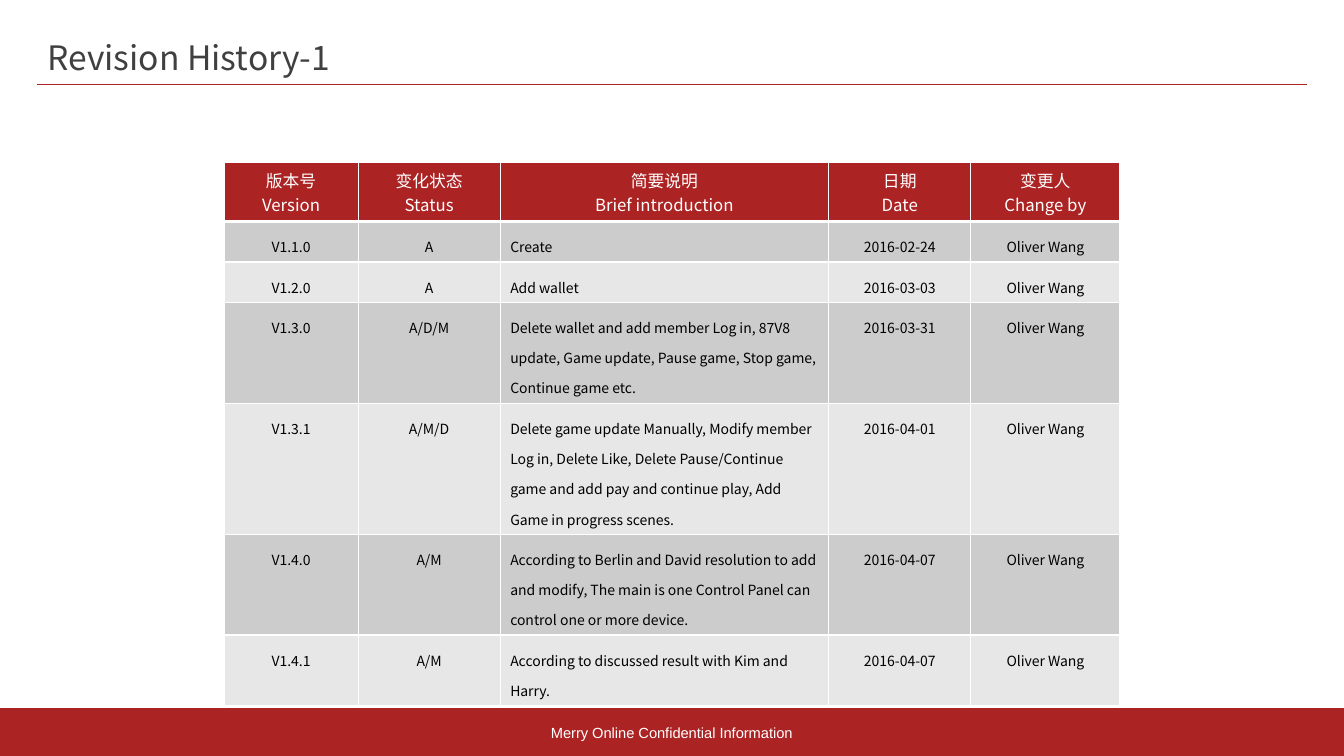
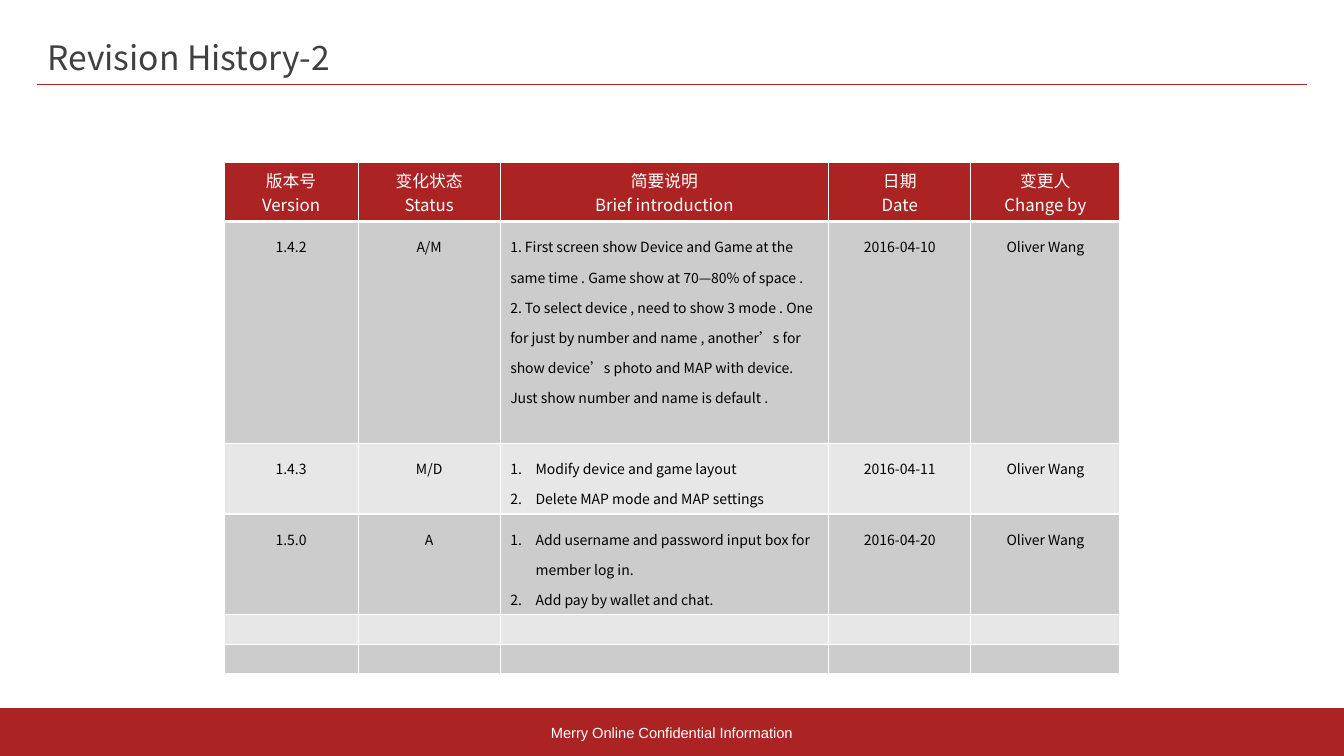
from dataclasses import dataclass

from lxml.etree import SubElement
from pptx import Presentation
from pptx.dml.color import RGBColor
from pptx.enum.shapes import MSO_CONNECTOR, MSO_SHAPE
from pptx.enum.text import MSO_ANCHOR, MSO_AUTO_SIZE, PP_ALIGN
from pptx.oxml import parse_xml
from pptx.oxml.ns import nsdecls, qn
from pptx.util import Cm, Pt


@dataclass(frozen=True)
class Theme:
    red: str = "AC2324"
    white: str = "FFFFFF"
    title_grey: str = "404040"
    black: str = "000000"
    bands: tuple = ("CCCCCC", "E7E7E7")
    font: str = "Noto Sans CJK SC"
    footer_font: str = "Arial"
    title_size: float = 24
    header_size: float = 12
    body_size: float = 10
    footer_size: float = 10.5
    line_width: float = 1
    header_line_width: float = 3


@dataclass(frozen=True)
class Box:
    left: float
    top: float
    width: float
    height: float

    def lengths(self):
        return Cm(self.left), Cm(self.top), Cm(self.width), Cm(self.height)


@dataclass(frozen=True)
class Revision:
    version: str = ""
    status: str = ""
    brief: tuple = ()
    date: str = ""
    author: str = ""
    numbered: bool = False
    height: float = 0.74


THEME = Theme()
SLIDE_WIDTH, SLIDE_HEIGHT = 33.87, 19.05
COLUMN_WIDTHS = (3.38, 3.58, 8.28, 3.58, 3.76)
BRIEF_COLUMN = 2
HEADER_HEIGHT = 1.17
TABLE_WIDTH = sum(COLUMN_WIDTHS)
TABLE_LEFT, TABLE_TOP = (SLIDE_WIDTH - TABLE_WIDTH) / 2, 4.1
MARGIN = 0.94
TITLE_BOX = Box(MARGIN, 0.76, 26.95, 1.5)
RULE_BOX = Box(MARGIN, 2.13, SLIDE_WIDTH - 2 * MARGIN, 0)
FOOTER_BOX = Box(0, 17.86, SLIDE_WIDTH, 1.19)

FOOTER_TEXT = "Merry Online Confidential Information"
AUTHOR = "Oliver Wang"
HEADERS = (
    ("版本号", "Version"),
    ("变化状态", "Status"),
    ("简要说明", "Brief introduction"),
    ("日期", "Date"),
    ("变更人", "Change by"),
)
HISTORY = {
    "Revision History-1": (
        Revision("V1.1.0", "A", ("Create",), "2016-02-24", AUTHOR),
        Revision("V1.2.0", "A", ("Add wallet",), "2016-03-03", AUTHOR),
        Revision("V1.3.0", "A/D/M", (
            "Delete wallet and add member Log in, 87V8 update, Game update, "
            "Pause game, Stop game, Continue game etc.",
        ), "2016-03-31", AUTHOR),
        Revision("V1.3.1", "A/M/D", (
            "Delete game update Manually, Modify member Log in, Delete Like, "
            "Delete Pause/Continue game and add pay and continue play, "
            "Add Game in progress scenes.",
        ), "2016-04-01", AUTHOR),
        Revision("V1.4.0", "A/M", (
            "According to Berlin and David resolution to add and modify, "
            "The main is one Control Panel can control one or more device.",
        ), "2016-04-07", AUTHOR),
        Revision("V1.4.1", "A/M", (
            "According to discussed result with Kim and Harry.",
        ), "2016-04-07", AUTHOR),
    ),
    "Revision History-2": (
        Revision("1.4.2", "A/M", (
            "1. First screen show Device and Game at the same time . "
            "Game show at 70—80% of space .",
            "2. To select device , need to show 3 mode . One for just by number "
            "and name , another’s for show device’s photo and MAP with device. "
            "Just show number and name is default .",
        ), "2016-04-10", AUTHOR, height=5.59),
        Revision("1.4.3", "M/D", (
            "Modify device and game layout",
            "Delete MAP mode and MAP settings",
        ), "2016-04-11", AUTHOR, numbered=True),
        Revision("1.5.0", "A", (
            "Add username and password input box for member log in.",
            "Add pay by wallet and chat.",
        ), "2016-04-20", AUTHOR, numbered=True),
        Revision(),
        Revision(),
    ),
}


def colour(value):
    return RGBColor.from_string(value)


def add_text(paragraph, text, size, text_colour, font=THEME.font):
    run = paragraph.add_run()
    run.text = text
    run.font.size = Pt(size)
    run.font.bold = False
    run.font.name = font
    run.font.color.rgb = colour(text_colour)
    # East Asian characters use the same typeface
    SubElement(run.font._element, qn("a:ea")).set("typeface", font)


def number_paragraph(paragraph):
    properties = paragraph._p.get_or_add_pPr()
    properties.set("marL", str(Cm(0.64)))
    properties.set("indent", str(-Cm(0.64)))
    SubElement(properties, qn("a:buAutoNum")).set("type", "arabicPeriod")


def set_borders(cell, bottom_width=THEME.line_width):
    properties = cell._tc.get_or_add_tcPr()
    for position, side in enumerate("LRTB"):
        width = bottom_width if side == "B" else THEME.line_width
        properties.insert(position, parse_xml(
            f'<a:ln{side} {nsdecls("a")} w="{Pt(width)}"><a:solidFill>'
            f'<a:srgbClr val="{THEME.white}"/></a:solidFill></a:ln{side}>'))


def fill_cell(cell, texts, fill, size, text_colour, alignment=PP_ALIGN.CENTER,
              line_spacing=None, numbered=False, bottom_width=THEME.line_width):
    cell.fill.solid()
    cell.fill.fore_color.rgb = colour(fill)
    set_borders(cell, bottom_width)
    frame = cell.text_frame
    if not texts:
        # An empty cell keeps the row as low as body text
        SubElement(frame.paragraphs[0]._p, qn("a:endParaRPr")).set("sz", str(int(size * 100)))
    for index, text in enumerate(texts):
        paragraph = frame.add_paragraph() if index else frame.paragraphs[0]
        paragraph.alignment = alignment
        if line_spacing:
            paragraph.line_spacing = line_spacing
        if numbered:
            number_paragraph(paragraph)
        add_text(paragraph, text, size, text_colour)


def add_rule(slide, box):
    left, top, width, _ = box.lengths()
    rule = slide.shapes.add_connector(MSO_CONNECTOR.STRAIGHT, left, top, left + width, top)
    rule.line.color.rgb = colour(THEME.red)
    rule.line.width = Pt(THEME.line_width)
    SubElement(rule._element.spPr, qn("a:effectLst"))
    return rule


def add_footer(slide, box):
    footer = slide.shapes.add_shape(MSO_SHAPE.RECTANGLE, *box.lengths())
    footer.shadow.inherit = False
    footer.fill.solid()
    footer.fill.fore_color.rgb = colour(THEME.red)
    footer.line.color.rgb = colour(THEME.red)
    footer.line.width = Pt(THEME.line_width)
    footer.text_frame.vertical_anchor = MSO_ANCHOR.MIDDLE
    paragraph = footer.text_frame.paragraphs[0]
    paragraph.alignment = PP_ALIGN.CENTER
    add_text(paragraph, FOOTER_TEXT, THEME.footer_size, THEME.white, THEME.footer_font)
    return footer


def share_on_layout(layout, shapes):
    for number, shape in enumerate(shapes, start=101):
        shape.element.xpath("./*/p:cNvPr")[0].set("id", str(number))
        layout.shapes.element.append(shape.element)


def set_title(slide, text, box):
    title = slide.shapes.title
    title.left, title.top, title.width, title.height = box.lengths()
    frame = title.text_frame
    frame.word_wrap = True
    frame.auto_size = MSO_AUTO_SIZE.NONE
    frame.vertical_anchor = MSO_ANCHOR.MIDDLE
    paragraph = frame.paragraphs[0]
    paragraph.alignment = PP_ALIGN.LEFT
    paragraph.line_spacing = 0.9
    add_text(paragraph, text, THEME.title_size, THEME.title_grey)


def add_history_table(slide, revisions, box):
    table = slide.shapes.add_table(
        len(revisions) + 1, len(COLUMN_WIDTHS), *box.lengths()).table
    table.horz_banding = False
    for column, width in zip(table.columns, COLUMN_WIDTHS):
        column.width = Cm(width * box.width / TABLE_WIDTH)

    # Header row
    table.rows[0].height = Cm(HEADER_HEIGHT)
    for column, texts in enumerate(HEADERS):
        fill_cell(table.cell(0, column), texts, THEME.red, THEME.header_size,
                  THEME.white, bottom_width=THEME.header_line_width)

    # One banded row for each revision
    for row, revision in enumerate(revisions, start=1):
        table.rows[row].height = Cm(revision.height)
        band = THEME.bands[(row - 1) % 2]
        values = (revision.version, revision.status, revision.brief,
                  revision.date, revision.author)
        for column, value in enumerate(values):
            is_brief = column == BRIEF_COLUMN
            texts = value if is_brief else (value,) if value else ()
            fill_cell(table.cell(row, column), texts, band, THEME.body_size, THEME.black,
                      PP_ALIGN.LEFT if is_brief else PP_ALIGN.CENTER,
                      line_spacing=1.5, numbered=is_brief and revision.numbered)


def add_history_slide(presentation, layout, title, revisions):
    slide = presentation.slides.add_slide(layout)
    set_title(slide, title, TITLE_BOX)
    height = HEADER_HEIGHT + sum(revision.height for revision in revisions)
    add_history_table(slide, revisions, Box(TABLE_LEFT, TABLE_TOP, TABLE_WIDTH, height))
    return slide


def main():
    presentation = Presentation()
    presentation.slide_width = Cm(SLIDE_WIDTH)
    presentation.slide_height = Cm(SLIDE_HEIGHT)
    layout = presentation.slide_layouts[5]
    slides = [add_history_slide(presentation, layout, title, revisions)
              for title, revisions in HISTORY.items()]

    # The rule and footer band are drawn once and shared through the layout
    share_on_layout(layout, (add_rule(slides[0], RULE_BOX), add_footer(slides[0], FOOTER_BOX)))
    presentation.save("out.pptx")


if __name__ == "__main__":
    main()
